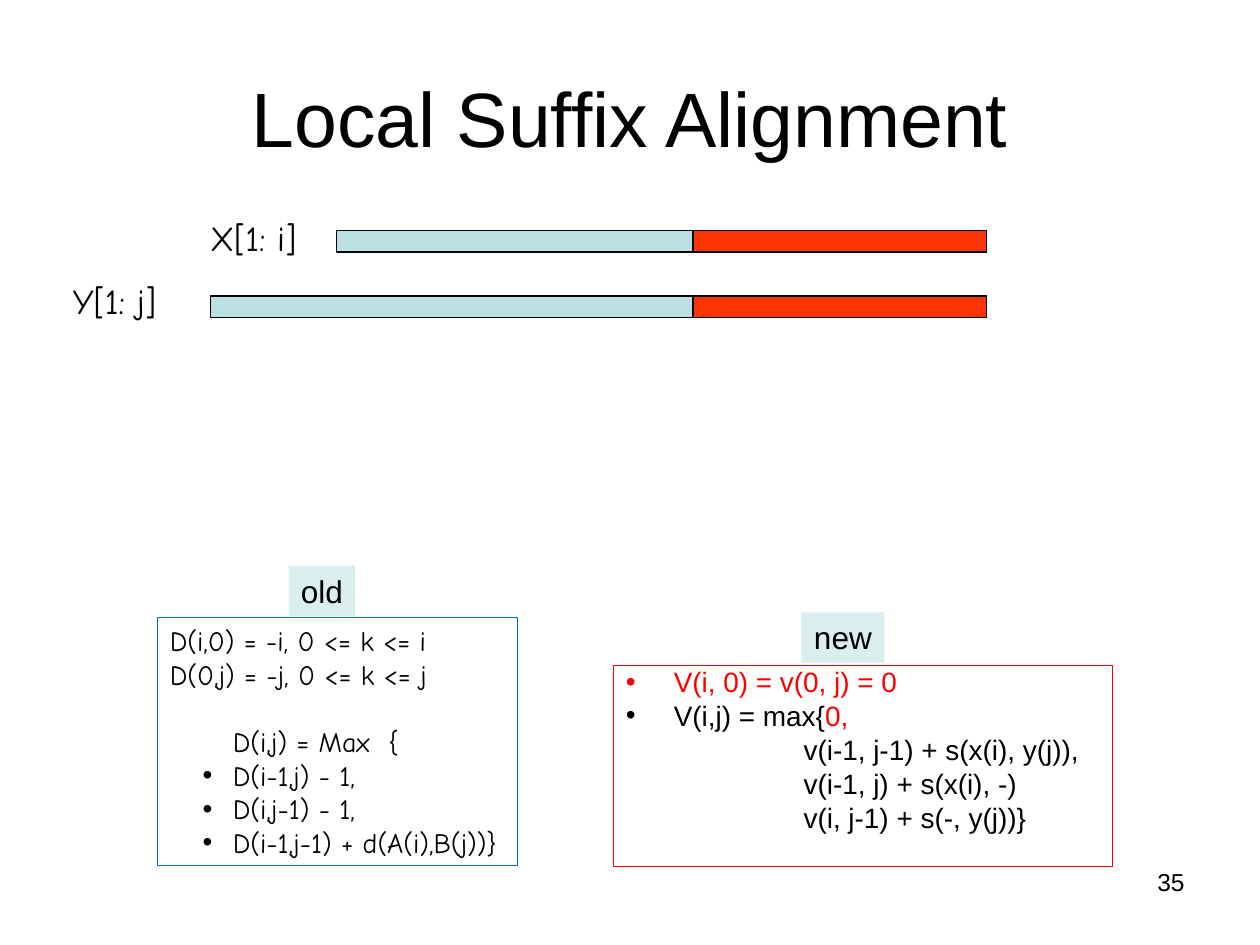
from lxml import etree
from pptx import Presentation
from pptx.dml.color import RGBColor
from pptx.enum.shapes import MSO_SHAPE
from pptx.enum.text import MSO_ANCHOR, PP_ALIGN
from pptx.oxml.ns import qn
from pptx.util import Inches, Pt

RECTANGLE = MSO_SHAPE.RECTANGLE
TOP, MIDDLE = MSO_ANCHOR.TOP, MSO_ANCHOR.MIDDLE
LEFT, CENTER, RIGHT = PP_ALIGN.LEFT, PP_ALIGN.CENTER, PP_ALIGN.RIGHT

COLORS = {
    "black": "000000",
    "red": "FF0000",
    "prefix": "BBE0E3",
    "suffix": "FF3300",
    "label": "DAEDEF",
    "old_border": "0070C0",
}
SANS, HAND = "Arial", "Comic Neue"


def color(name):
    return RGBColor.from_string(COLORS[name])


def add_rectangle(slide, left, top, width, height, fill=None, line=None):
    shape = slide.shapes.add_shape(
        RECTANGLE, Inches(left), Inches(top), Inches(width), Inches(height))
    shape.shadow.inherit = False
    if fill:
        shape.fill.solid()
        shape.fill.fore_color.rgb = color(fill)
    else:
        shape.fill.background()
    if line:
        shape.line.color.rgb = color(line)
        shape.line.width = Pt(0.75)
    else:
        shape.line.fill.background()
    return shape


def set_indent(paragraph, margin, hanging=0.0, bullet=None):
    """Indent a paragraph; a bullet, if named by colour, hangs to its left."""
    properties = paragraph._p.get_or_add_pPr()
    properties.set("marL", str(Inches(margin)))
    properties.set("indent", str(-Inches(hanging)))
    if bullet:
        bullet_color = etree.SubElement(properties, qn("a:buClr"))
        etree.SubElement(bullet_color, qn("a:srgbClr"), val=COLORS[bullet])
        etree.SubElement(properties, qn("a:buFont"), typeface=SANS)
        etree.SubElement(properties, qn("a:buChar"), char="•")


def style_paragraph(paragraph, size, font=SANS, align=LEFT):
    paragraph.alignment = align
    paragraph.font.size = Pt(size)
    paragraph.font.name = font
    paragraph.font.color.rgb = color("black")


def write_text(shape, text, size, font=SANS, align=LEFT, anchor=TOP, wrap=True):
    frame = shape.text_frame
    frame.word_wrap = wrap
    frame.vertical_anchor = anchor
    paragraph = frame.paragraphs[0]
    paragraph.text = text
    style_paragraph(paragraph, size, font, align)


def add_text(slide, left, top, width, height, text, size, **style):
    box = slide.shapes.add_textbox(
        Inches(left), Inches(top), Inches(width), Inches(height))
    write_text(box, text, size, **style)


def add_paragraphs(shape, count):
    frame = shape.text_frame
    frame.vertical_anchor = TOP
    return [frame.paragraphs[0]] + [frame.add_paragraph() for _ in range(count - 1)]


def add_sequence(slide, left, top):
    """A bar from left to the common end, its shared suffix in red."""
    suffix_left, right, height = 5.5, 7.83, 0.17
    add_rectangle(slide, left, top, right - left, height, "prefix", "black")
    add_rectangle(slide, suffix_left, top, right - suffix_left, height,
                  "suffix", "black")


def add_label(slide, left, top, width, text):
    label = add_rectangle(slide, left, top, width, 0.4, fill="label")
    write_text(label, text, 18, align=CENTER, wrap=False)


def add_old_recurrence(slide):
    lines = [
        ("D(i,0) = -i, 0 <= k <= i", "base"),
        ("D(0,j) = -j, 0 <= k <= j", "base"),
        ("D(i,j) = Max  {", "head"),
        ("D(i-1,j) - 1,", "case"),
        ("D(i,j-1) - 1,", "case"),
        ("D(i-1,j-1) + d(A(i),B(j))}", "case"),
    ]
    box = add_rectangle(slide, 1.25, 4.9, 2.86, 1.97, line="old_border")
    box.text_frame.word_wrap = False
    for paragraph, (text, kind) in zip(add_paragraphs(box, len(lines)), lines):
        paragraph.text = text
        if kind == "head":
            set_indent(paragraph, 0.5)
            paragraph.space_before = Pt(19.5)
        elif kind == "case":
            set_indent(paragraph, 0.5, 0.24, "black")
        style_paragraph(paragraph, 16, HAND)


def add_new_recurrence(slide):
    # Each line: its coloured runs, then the bullet colour if it has one
    lines = [
        ([("V(i, 0) = v(0, j) = 0", "red")], "red"),
        ([("V(i,j) = max{", "black"), ("0,", "red")], "black"),
        ([("v(i-1, j-1) + s(x(i), y(j)),", "black")], None),
        ([("v(i-1, j) + s(x(i), -)", "black")], None),
        ([("v(i, j-1) + s(-, y(j))}", "black")], None),
    ]
    box = add_rectangle(slide, 4.87, 5.28, 3.96, 1.6, line="red")
    box.text_frame.word_wrap = True
    paragraphs = add_paragraphs(box, len(lines))
    for index, (paragraph, (runs, bullet)) in enumerate(zip(paragraphs, lines)):
        if bullet:
            set_indent(paragraph, 0.38, 0.38, bullet)
        else:
            set_indent(paragraph, 1.41)
        style_paragraph(paragraph, 16)
        paragraph.line_spacing = 0.8
        if index:
            paragraph.space_before = Pt(4)
        for text, name in runs:
            run = paragraph.add_run()
            run.text = text
            run.font.color.rgb = color(name)


def main():
    presentation = Presentation()
    presentation.slide_width = Inches(10)
    presentation.slide_height = Inches(7.5)
    slide = presentation.slides.add_slide(presentation.slide_layouts[6])

    # Slide number and title
    add_text(slide, 7.17, 6.83, 2.33, 0.52, "35", 14, align=RIGHT)
    add_text(slide, 0.5, 0.3, 9, 1.25, "Local Suffix Alignment", 44,
             align=CENTER, anchor=MIDDLE)

    # Sequences that share a suffix
    add_sequence(slide, 2.67, 1.83)
    add_sequence(slide, 1.67, 2.35)
    add_text(slide, 1.57, 1.67, 1, 0.44, "X[1: i]", 20, font=HAND)
    add_text(slide, 0.48, 2.17, 1, 0.44, "Y[1: j]", 20, font=HAND)

    # Old and new recurrences
    add_old_recurrence(slide)
    add_new_recurrence(slide)
    add_label(slide, 2.29, 4.49, 0.53, "old")
    add_label(slide, 6.36, 4.86, 0.66, "new")

    presentation.save("out.pptx")


if __name__ == "__main__":
    main()
